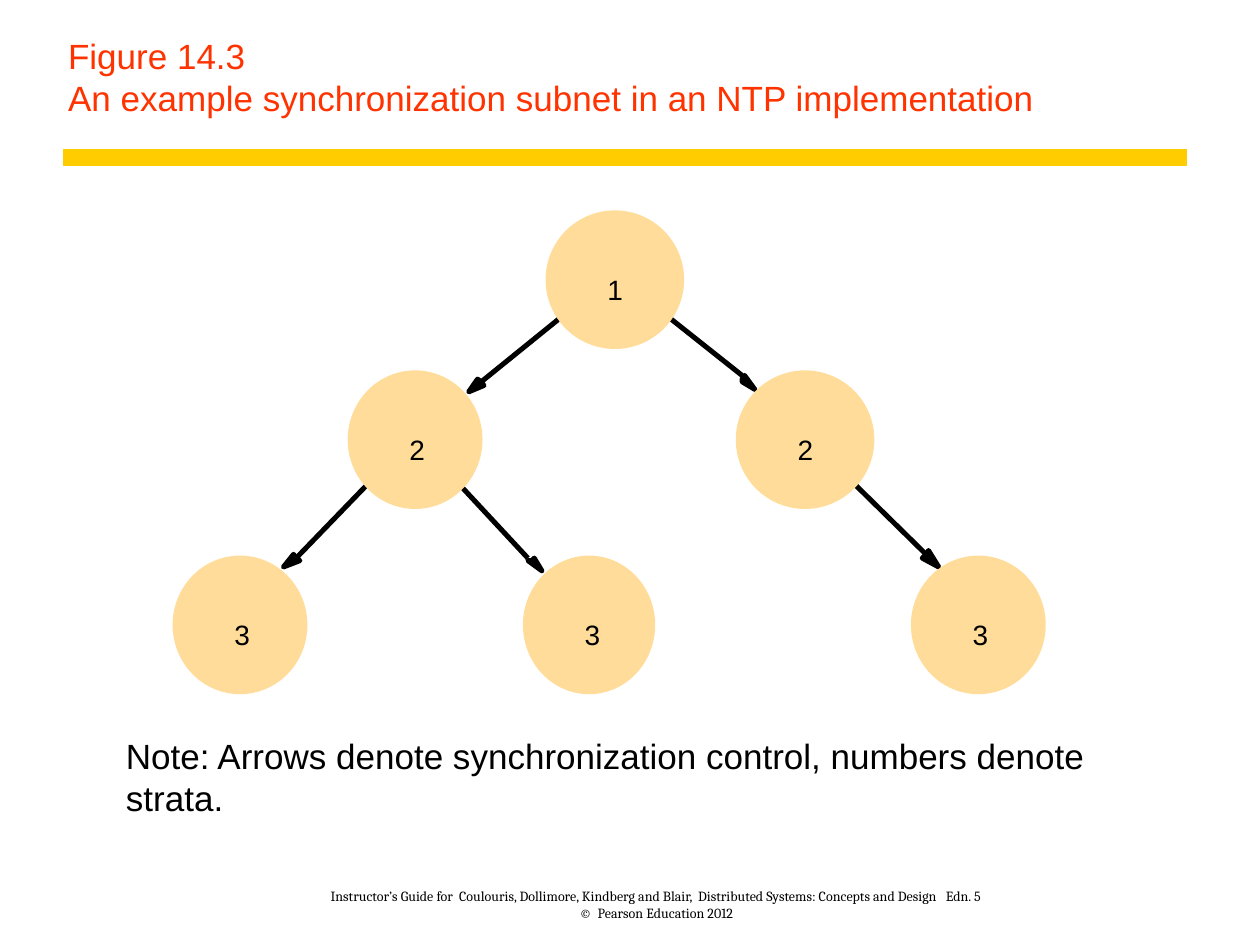
"""Build the slide on an example NTP synchronization subnet."""
from dataclasses import dataclass

import lxml.etree
import pptx
import pptx.dml.color
import pptx.enum.shapes
import pptx.enum.text
import pptx.oxml
import pptx.util
from pptx.util import Inches

BLACK = "000000"
RED = "FF3300"
GOLD = "FFCC00"
PEACH = "FFDC99"
OUTLINE = 2.88
LABEL_OFFSET = 0.47
NODE_HEIGHT = 1.06
Point = tuple[float, float]


@dataclass
class Node:
    stratum: int
    left: float
    top: float
    width: float


@dataclass
class Arrow:
    start: Point
    end: Point
    head: tuple[Point, ...]


NODES = [
    Node(1, 4.35, 1.69, 1.06),
    Node(2, 2.78, 2.96, 1.03),
    Node(2, 5.86, 2.96, 1.06),
    Node(3, 1.39, 4.43, 1.03),
    Node(3, 4.17, 4.43, 1.01),
    Node(3, 7.25, 4.43, 1.03),
]
ARROWS = [
    Arrow((2.93, 3.83), (2.35, 4.43), ((2.35, 4.43), (2.38, 4.45), (2.25, 4.5), (2.33, 4.4))),
    Arrow((3.66, 3.86), (4.19, 4.43), ((4.22, 4.45), (4.24, 4.43), (4.3, 4.53), (4.19, 4.45))),
    Arrow((4.45, 2.52), (3.82, 3.03), ((3.82, 3.03), (3.84, 3.06), (3.72, 3.11), (3.79, 3.01))),
    Arrow((5.31, 2.52), (5.89, 2.98), ((5.89, 3.01), (5.91, 2.98), (5.99, 3.09), (5.89, 3.03))),
    Arrow((6.77, 3.83), (7.35, 4.4), ((7.35, 4.4), (7.37, 4.37), (7.45, 4.5), (7.32, 4.43))),
]


def color(value: str) -> pptx.dml.color.RGBColor:
    return pptx.dml.color.RGBColor.from_string(value)


def paint(shape, value: str) -> None:
    shape.shadow.inherit = False
    shape.fill.solid()
    shape.fill.fore_color.rgb = color(value)
    shape.line.color.rgb = color(value)
    shape.line.width = pptx.util.Pt(OUTLINE)


def write(shape, text: str, size: float, font: str = "Arial", value: str = BLACK,
          margins: tuple[float, ...] = (0, 0, 0, 0), wrap: bool = True,
          align=pptx.enum.text.PP_ALIGN.LEFT, anchor=pptx.enum.text.MSO_ANCHOR.TOP) -> None:
    frame = shape.text_frame
    frame.word_wrap = wrap
    frame.auto_size = pptx.enum.text.MSO_AUTO_SIZE.NONE
    frame.vertical_anchor = anchor
    (frame.margin_left, frame.margin_top,
     frame.margin_right, frame.margin_bottom) = map(Inches, margins)
    paragraph = frame.paragraphs[0]
    paragraph.text = text
    paragraph.alignment = align
    paragraph.font.size = pptx.util.Pt(size)
    paragraph.font.name = font
    paragraph.font.color.rgb = color(value)


def add_text(slide, box: tuple[float, ...], text: str, size: float, **options) -> None:
    write(slide.shapes.add_textbox(*map(Inches, box)), text, size, **options)


def add_line(slide, start: Point, end: Point, value: str, width: float) -> None:
    connector = slide.shapes.add_connector(
        pptx.enum.shapes.MSO_CONNECTOR.STRAIGHT, *map(Inches, start + end))
    connector.line.color.rgb = color(value)
    connector.line.width = pptx.util.Pt(width)
    lxml.etree.SubElement(connector._element.spPr, pptx.oxml.ns.qn("a:effectLst"))


def add_arrow(slide, arrow: Arrow) -> None:
    first, *others = [(Inches(x), Inches(y)) for x, y in arrow.head]
    builder = slide.shapes.build_freeform(*first)
    builder.add_line_segments(others, close=True)
    paint(builder.convert_to_shape(), BLACK)
    add_line(slide, arrow.start, arrow.end, BLACK, OUTLINE)


def add_node(slide, node: Node) -> None:
    circle = slide.shapes.add_shape(
        pptx.enum.shapes.MSO_SHAPE.OVAL,
        *map(Inches, (node.left, node.top, node.width, NODE_HEIGHT)))
    paint(circle, PEACH)
    add_text(slide, (node.left + LABEL_OFFSET, node.top + LABEL_OFFSET, 0.14, 0.24),
             str(node.stratum), 16, wrap=False)


def main() -> None:
    presentation = pptx.Presentation()
    presentation.slide_width, presentation.slide_height = Inches(10), Inches(7.5)
    slide = presentation.slides.add_slide(presentation.slide_layouts.get_by_name("Title Only"))
    bottom = pptx.enum.text.MSO_ANCHOR.BOTTOM

    title = slide.shapes.title
    title.left, title.top, title.width, title.height = map(Inches, (0.44, 0, 8.97, 1))
    write(title, "Figure 14.3\vAn example synchronization subnet in an NTP implementation", 20,
          value=RED, margins=(0.1, 0.06, 0.14, 0.06), anchor=bottom)
    add_line(slide, (0.5, 1.25), (9.42, 1.25), GOLD, 10)

    for arrow in ARROWS:
        add_arrow(slide, arrow)
    for node in NODES:
        add_node(slide, node)

    add_text(slide, (1, 5.83, 8.17, 0.63),
             "Note: Arrows denote synchronization control, numbers denote strata.", 20)
    add_text(slide, (2.17, 6.92, 6.08, 0.39),
             "Instructor’s Guide for  Coulouris, Dollimore, Kindberg and Blair,  "
             "Distributed Systems: Concepts and Design   Edn. 5\v©  Pearson Education 2012",
             8, font="Cambria", margins=(0.04, 0, 0.04, 0),
             align=pptx.enum.text.PP_ALIGN.CENTER, anchor=bottom)
    presentation.save("out.pptx")


if __name__ == "__main__":
    main()
